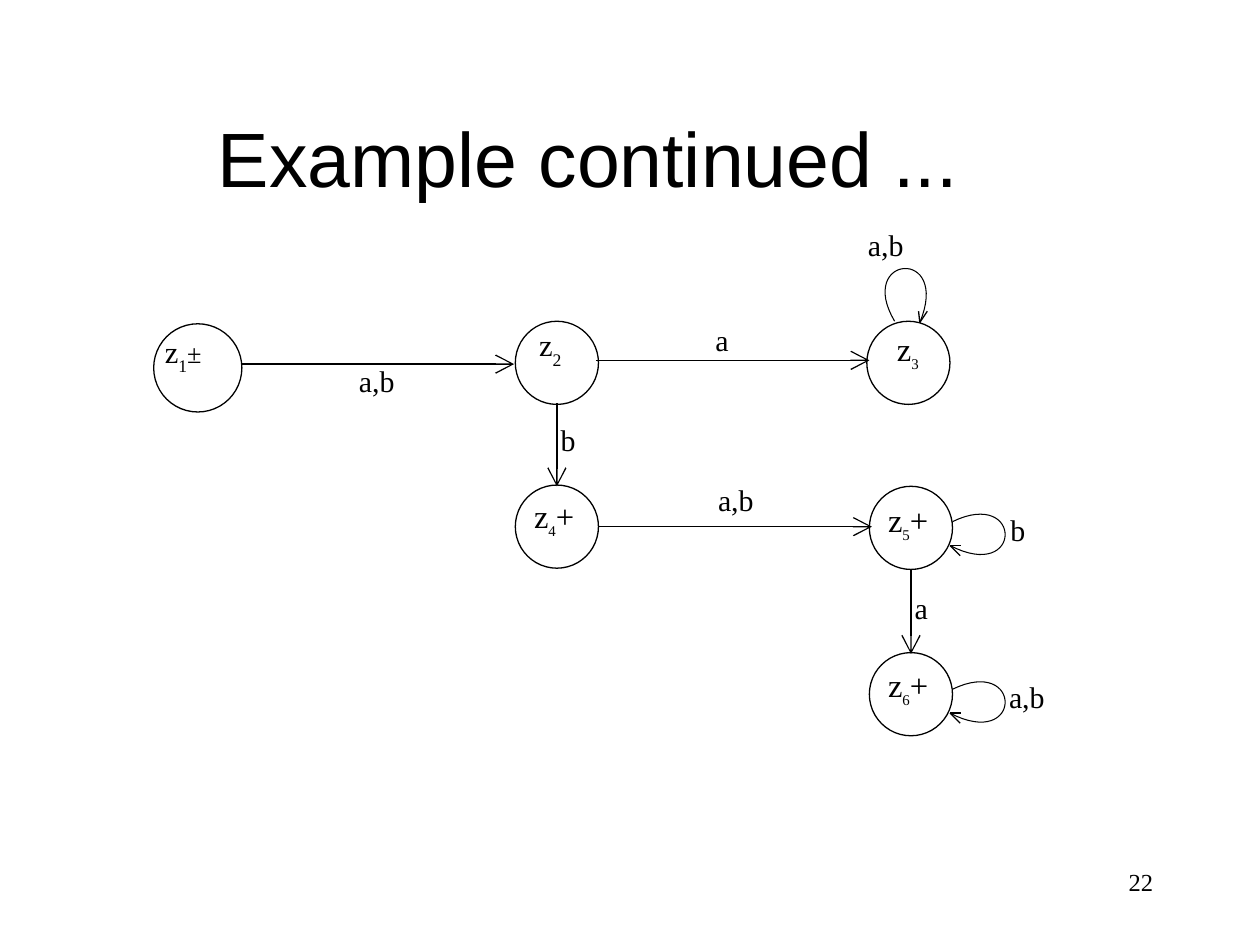
from pptx import Presentation
from pptx import util as u
from pptx.dml.color import RGBColor
from pptx.enum import shapes, text
from lxml import etree
from pptx.oxml import ns

BLACK = RGBColor(0, 0, 0)
WHITE = RGBColor(255, 255, 255)
SERIF = "Times New Roman"

deck = Presentation()
deck.slide_width, deck.slide_height = u.Inches(10), u.Inches(7.5)
slide = deck.slides.add_slide(deck.slide_layouts[5])


def write(left, top, width, height, runs, align=text.PP_ALIGN.LEFT):
    box = slide.shapes.add_textbox(*map(u.Inches, (left, top, width, height)))
    box.text_frame.word_wrap = True
    para = box.text_frame.paragraphs[0]
    para.alignment = align
    for word, size, base in runs:
        run = para.add_run()
        run.text = word
        run.font.name, run.font.size = SERIF, u.Pt(size)
        run.font.color.rgb = BLACK
        if base:
            run.font._element.set("baseline", str(base))


def trace(dots, width):
    spots = [(u.Inches(x), u.Inches(y)) for x, y in dots]
    pen = slide.shapes.build_freeform(*spots[0])
    pen.add_line_segments(spots[1:], close=False)
    path = pen.convert_to_shape()
    path.shadow.inherit = False
    path.fill.background()
    path.line.color.rgb = BLACK
    path.line.width = u.Pt(width)


title = slide.shapes.title
title.left, title.top = u.Inches(0.42), u.Inches(0.62)
title.width, title.height = u.Inches(8.5), u.Inches(1.25)
title.text_frame.vertical_anchor = text.MSO_ANCHOR.MIDDLE
para = title.text_frame.paragraphs[0]
para.alignment = text.PP_ALIGN.CENTER
run = para.add_run()
run.text = "Example continued ..."
run.font.name, run.font.size = "Arial", u.Pt(44)
run.font.color.rgb = BLACK

write(7.17, 6.83, 2.08, 0.5, [("22", 14, 0)], text.PP_ALIGN.RIGHT)

states = [
    (1.22, 2.57, 0.7, -0.01, 0.02, "1", "±", 17.5, 17.5, 15),
    (4.09, 2.55, 0.66, 0.09, -0.01, "2", "", 17.5, 17.5, 0),
    (6.88, 2.55, 0.66, 0.14, 0.01, "3", "", 18.6, 14.7, 0),
    (4.09, 3.85, 0.66, 0.05, 0.04, "4", "+", 18.6, 14.7, 18.6),
    (6.9, 3.86, 0.66, 0.05, 0.06, "5", "+", 18.6, 14.7, 18.6),
    (6.9, 5.18, 0.66, 0.05, 0.05, "6", "+", 18.6, 14.7, 18.6),
]
for left, top, size, dx, dy, index, sign, big, small, last in states:
    ring = slide.shapes.add_shape(
        shapes.MSO_SHAPE.OVAL, *map(u.Inches, (left, top, size, size)))
    ring.shadow.inherit = False
    ring.fill.solid()
    ring.fill.fore_color.rgb = WHITE
    ring.line.color.rgb = BLACK
    ring.line.width = u.Pt(0.75)
    runs = [("z", big, 0), (index, small, -30000)]
    if sign:
        runs.append((sign, last, 0))
    write(left + dx, top + dy, 0.8, 0.45, runs)

arrows = [
    (1.92, 2.89, 4.08, 2.89),
    (4.73, 2.86, 6.9, 2.86),
    (4.42, 3.2, 4.42, 3.86),
    (4.75, 4.18, 6.92, 4.18),
    (7.23, 4.52, 7.23, 5.19),
]
for ends in arrows:
    edge = slide.shapes.add_connector(
        shapes.MSO_CONNECTOR.STRAIGHT, *map(u.Inches, ends))
    edge.line.color.rgb = BLACK
    edge.line.width = u.Pt(0.75)
    etree.SubElement(edge.line._get_or_add_ln(), ns.qn("a:tailEnd"),
                     type="arrow", w="lg", len="lg")
    etree.SubElement(edge._element.spPr, ns.qn("a:effectLst"))

side = [(7.56, 4.14), (8.12, 3.87), (8.12, 4.63), (7.54, 4.33)]
barbs = [(7.62, 4.41), (7.63, 4.33)]
loops = [
    ([(7.1, 2.55), (6.79, 2.02), (7.55, 1.96), (7.3, 2.56)],
     [(7.36, 2.47), (7.29, 2.47)], 0),
    (side, barbs, 0),
    (side, barbs, 1.33),
]
STEPS = 32
for curve, head, drop in loops:
    dots = []
    for step in range(STEPS + 1):
        t = step / STEPS
        parts = ((1 - t) ** 3, 3 * t * (1 - t) ** 2, 3 * t * t * (1 - t), t ** 3)
        dots.append((sum(p * x for p, (x, y) in zip(parts, curve)),
                     drop + sum(p * y for p, (x, y) in zip(parts, curve))))
    trace(dots, 0.6)
    for x, y in head:
        trace([dots[-1], (x, y + drop)], 0.75)

labels = [
    (6.79, 1.75, "a,b"), (5.58, 2.5, "a"), (2.75, 2.83, "a,b"),
    (4.35, 3.3, "b"), (5.6, 3.77, "a,b"), (7.92, 4.01, "b"),
    (7.16, 4.63, "a"), (7.91, 5.34, "a,b"),
]
for left, top, word in labels:
    write(left, top, 1.01, 0.41, [(word, 17.1, 0)])

deck.save("out.pptx")
